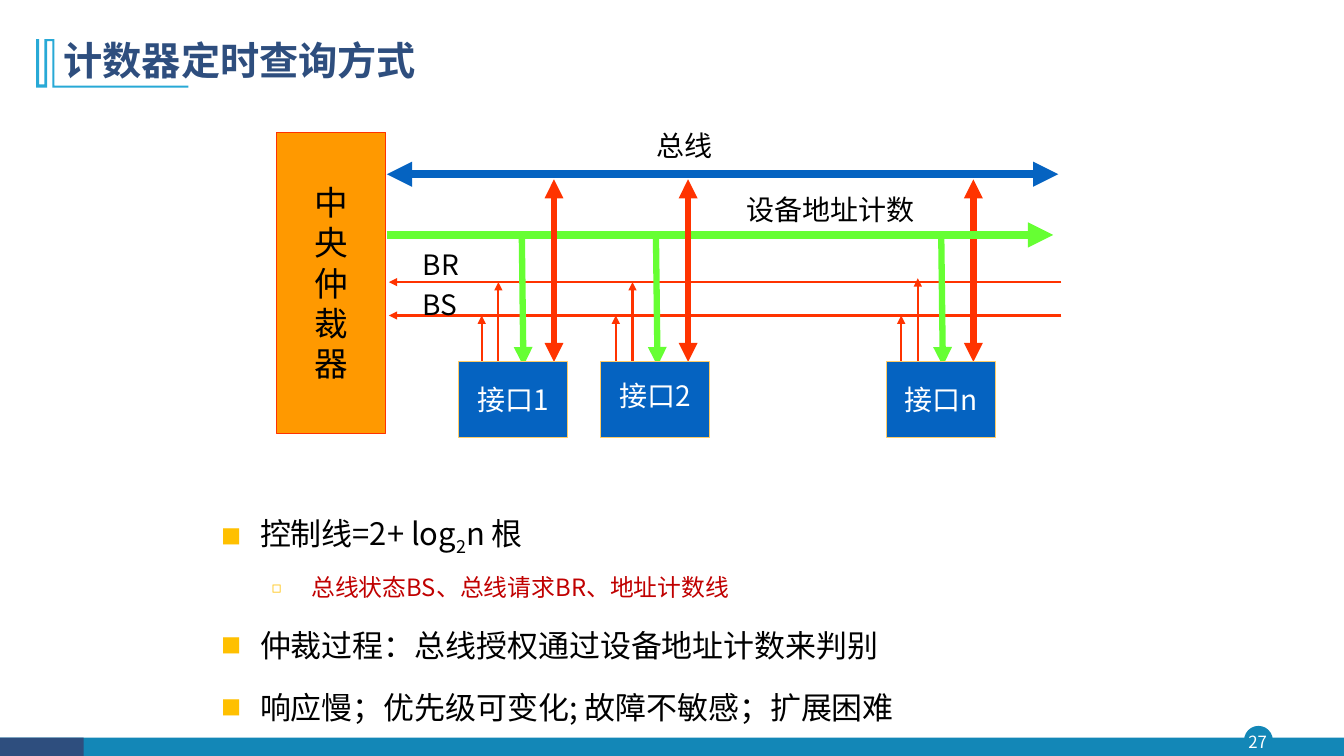
from lxml import etree
from pptx import Presentation
from pptx.dml.color import RGBColor
from pptx.enum.shapes import MSO_CONNECTOR, MSO_SHAPE
from pptx.enum.text import MSO_ANCHOR, MSO_AUTO_SIZE, PP_ALIGN
from pptx.oxml.ns import qn
from pptx.util import Cm, Pt

RECT, OVAL = MSO_SHAPE.RECTANGLE, MSO_SHAPE.OVAL
LEFT, CENTER, JUSTIFY = PP_ALIGN.LEFT, PP_ALIGN.CENTER, PP_ALIGN.JUSTIFY
TOP, MIDDLE = MSO_ANCHOR.TOP, MSO_ANCHOR.MIDDLE
FONT = "Noto Sans CJK SC"
COLORS = {
    "navy": "2E4E7E", "teal": "1387B7", "sky": "28A9D6", "blue": "0563C1",
    "red": "FF3300", "green": "66FF33", "orange": "FF9900", "gold": "FFCC66",
    "bullet": "FFC000", "crimson": "C00000", "black": "000000", "white": "FFFFFF",
}

# Content
TITLE = "计数器定时查询方式"
PAGE_NUMBER = "27"
ARBITER = "中央仲裁器"
# Each point: level, then (text, baseline) spans
POINTS = [
    (0, [("控制线=2+ log", 0), ("2", -25000), ("n 根", 0)]),
    (1, [("总线状态BS、总线请求BR、地址计数线", 0)]),
    (0, [("仲裁过程：总线授权通过设备地址计数来判别", 0)]),
    (0, [("响应慢；优先级可变化; 故障不敏感；扩展困难", 0)]),
]
LEVELS = [
    dict(size=22.1, color="black", bullet="■", margin=0.97, hanging=0.97, before=10),
    dict(size=17, color="crimson", bullet="◻", margin=2.26, hanging=0.99, before=5),
]
# Label text, left, top, width (cm)
LABELS = [
    ("总线", 15.67, 3.12, 3.18), ("设备地址计数", 18.49, 4.72, 4.88),
    ("BR", 10.26, 6.12, 1.7), ("BS", 10.24, 7.11, 1.7),
]
# Interface name, box left, first signal x, rise of the BR arrow, extra bottom inset (cm)
INTERFACES = [
    ("接口1", 11.56, 12.14, 0, 0),
    ("接口2", 15.14, 15.52, 0, 0.2),
    ("接口n", 22.35, 22.71, 0.1, 0),
]
BUS_Y, COUNT_Y, BR_Y, BS_Y = 4.39, 5.92, 7.11, 7.95
BOX_TOP, BOX_WIDTH, BOX_HEIGHT = 9.12, 2.74, 1.9
SIGNAL_END = 9.22
BR_STEP, COUNT_STEP, DATA_STEP = 0.42, 1.01, 1.82
EMBLEM = [
    (1.37, 0.99), (1.37, 2.16), (4.75, 2.16), (4.75, 2.21), (1.32, 2.21), (1.32, 1.04),
    (1.19, 1.04), (1.19, 2.21), (0.91, 2.21), (0.91, 0.99), (0.99, 0.99), (0.99, 2.13),
    (1.12, 2.13), (1.12, 0.99),
]

deck = Presentation()
deck.slide_width, deck.slide_height = Cm(33.87), Cm(19.05)
page = deck.slides.add_slide(deck.slide_layouts[1])
shapes = page.shapes


def rgb(name):
    return RGBColor.from_string(COLORS[name])


def write(para, text, size=20, color="black", bold=False, align=CENTER, baseline=0):
    para.alignment = align
    span = para.add_run()
    span.text = text
    span.font.size, span.font.bold = Pt(size), bold
    span.font.name = FONT
    span.font.color.rgb = rgb(color)
    props = span.font._element
    etree.SubElement(props, qn("a:ea")).set("typeface", FONT)
    if baseline:
        props.set("baseline", str(baseline))


def place(box, left, top, width, height):
    box.left, box.top, box.width, box.height = Cm(left), Cm(top), Cm(width), Cm(height)


def paint(box, fill, outline=None, weight=0.75):
    box.shadow.inherit = False
    box.fill.solid()
    box.fill.fore_color.rgb = rgb(fill)
    if outline:
        box.line.color.rgb = rgb(outline)
        box.line.width = Pt(weight)
    else:
        box.line.fill.background()


def add_box(kind, left, top, width, height, fill, outline=None, weight=0.75):
    box = shapes.add_shape(kind, Cm(left), Cm(top), Cm(width), Cm(height))
    paint(box, fill, outline, weight)
    box.text_frame.word_wrap = False
    box.text_frame.vertical_anchor = MIDDLE
    return box


def add_label(text, left, top, width, height, **style):
    frame = shapes.add_textbox(Cm(left), Cm(top), Cm(width), Cm(height)).text_frame
    frame.word_wrap = True
    write(frame.paragraphs[0], text, **style)
    return frame


def add_arrow(start, end, color, weight, both=False):
    line = shapes.add_connector(MSO_CONNECTOR.STRAIGHT, *map(Cm, start + end))
    line.line.color.rgb = rgb(color)
    line.line.width = Pt(weight)
    outline = line.line._get_or_add_ln()
    for tag in ("a:headEnd", "a:tailEnd") if both else ("a:tailEnd",):
        etree.SubElement(outline, qn(tag)).set("type", "triangle")
    etree.SubElement(line._element.spPr, qn("a:effectLst"))


def add_data_arrow(signal_x):
    x = signal_x + DATA_STEP
    add_arrow((x, 4.52), (x, BOX_TOP), "red", 4.5, both=True)


def add_bullet(para, bullet, margin, hanging):
    props = para._p.get_or_add_pPr()
    props.set("marL", str(Cm(margin)))
    props.set("indent", str(-Cm(hanging)))
    tint = etree.SubElement(props, qn("a:buClr"))
    etree.SubElement(tint, qn("a:srgbClr")).set("val", COLORS["bullet"])
    etree.SubElement(props, qn("a:buSzPct")).set("val", "65000")
    etree.SubElement(props, qn("a:buFont")).set("typeface", FONT)
    etree.SubElement(props, qn("a:buChar")).set("char", bullet)


# Footer band and page number
add_box(OVAL, 31.37, 18.31, 0.69, 0.69, "teal", "teal", 1)
add_box(RECT, 0, 18.59, 33.87, 0.46, "teal")
add_box(RECT, 0, 18.59, 2.11, 0.46, "navy")
number = add_label(PAGE_NUMBER, 31.29, 18.31, 0.81, 0.79, size=12, color="white")
number.margin_left = number.margin_right = number.margin_top = number.margin_bottom = 0
number.vertical_anchor = MIDDLE

# Title with emblem
corners = [(Cm(x), Cm(y)) for x, y in EMBLEM]
outline = shapes.build_freeform(*corners[0])
outline.add_line_segments(corners[1:], close=True)
paint(outline.convert_to_shape(), "sky")
title = shapes.title
place(title, 1.35, 0.71, 29.21, 1.73)
title.text_frame.vertical_anchor = MIDDLE
title.text_frame.auto_size = MSO_AUTO_SIZE.NONE
title.text_frame.paragraphs[0].line_spacing = 0.9
write(title.text_frame.paragraphs[0], TITLE, size=28, color="navy", bold=True, align=LEFT)

# Bullet points
body = page.placeholders[1]
place(body, 5.33, 12.52, 22.83, 5.97)
frame = body.text_frame
frame.auto_size, frame.vertical_anchor = MSO_AUTO_SIZE.NONE, TOP
for index, (level, spans) in enumerate(POINTS):
    style = LEVELS[level]
    para = frame.add_paragraph() if index else frame.paragraphs[0]
    para.level, para.line_spacing = level, 1.3
    para.space_before = Pt(style["before"] if index else 0)
    add_bullet(para, style["bullet"], style["margin"], style["hanging"])
    for text, baseline in spans:
        write(para, text, size=style["size"], color=style["color"], align=JUSTIFY,
              baseline=baseline)

# Bus, request and status lines
add_arrow((9.75, BUS_Y), (26.67, BUS_Y), "blue", 6, both=True)
for y in (BR_Y, BS_Y):
    add_arrow((26.75, y), (9.8, y), "red", 1.5)
for name, left, x, rise, inset in INTERFACES:
    add_arrow((x, SIGNAL_END), (x, BS_Y), "red", 1.5)
    add_arrow((x + BR_STEP, SIGNAL_END - rise), (x + BR_STEP, BR_Y - rise), "red", 1.5)
add_data_arrow(INTERFACES[-1][2])
for text, left, top, width in LABELS:
    add_label(text, left, top, width, 1.09)

# Address count line and arbiter
add_arrow((9.75, COUNT_Y), (26.54, COUNT_Y), "green", 6)
arbiter = add_box(RECT, 6.98, 3.33, BOX_WIDTH, 7.59, "orange", "red").text_frame
for index, character in enumerate(ARBITER):
    para = arbiter.add_paragraph() if index else arbiter.paragraphs[0]
    write(para, character, size=24)

# Interfaces with their address arrows
for name, left, x, rise, inset in INTERFACES[:-1]:
    add_data_arrow(x)
for name, left, x, rise, inset in INTERFACES:
    count_x = x + COUNT_STEP
    add_arrow((count_x, COUNT_Y), (count_x + 0.04, SIGNAL_END), "green", 4.5)
for name, left, x, rise, inset in INTERFACES:
    unit = add_box(RECT, left, BOX_TOP, BOX_WIDTH, BOX_HEIGHT, "blue", "gold").text_frame
    unit.margin_bottom = Cm(0.13 + inset)
    write(unit.paragraphs[0], name, color="white")

deck.save("out.pptx")
